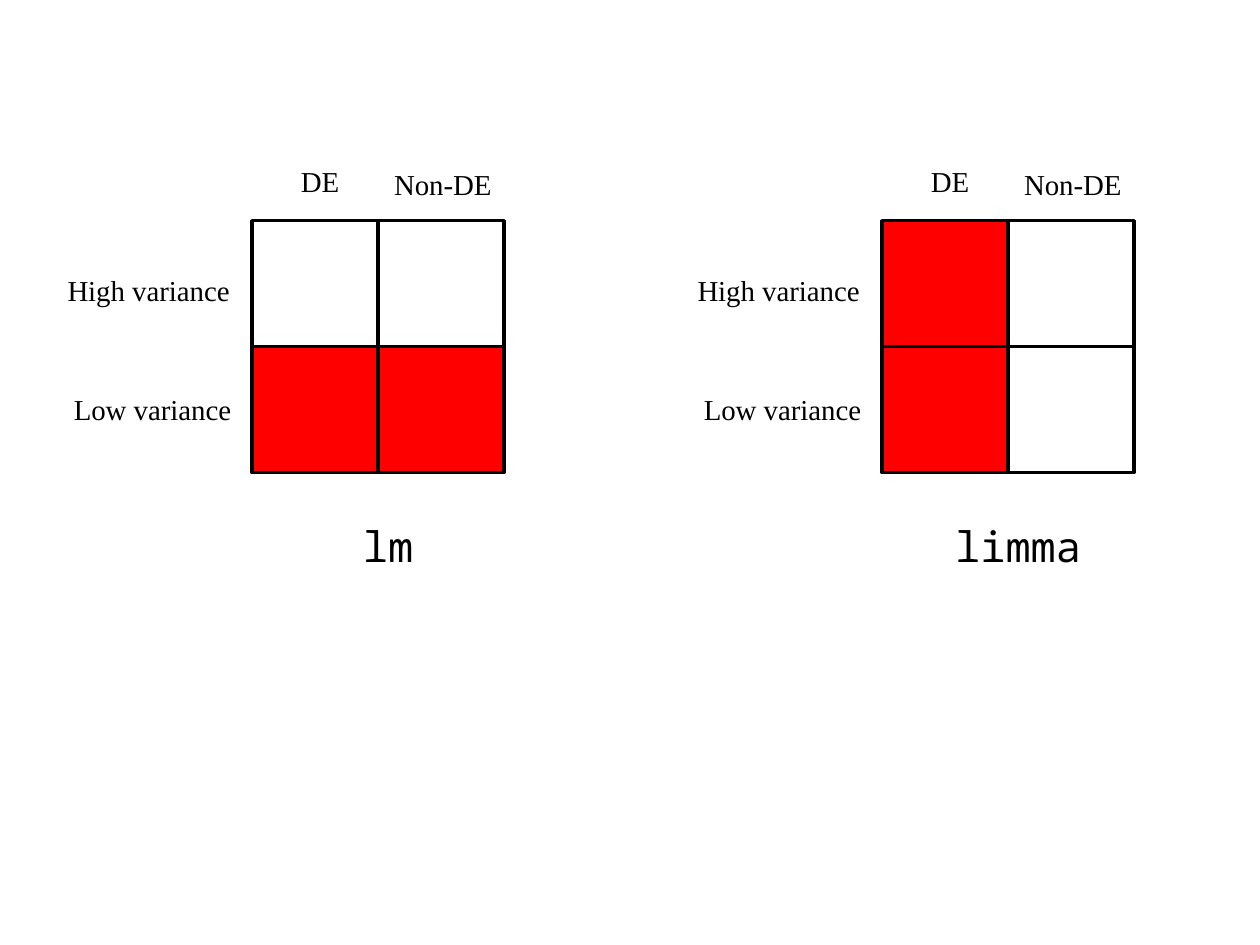
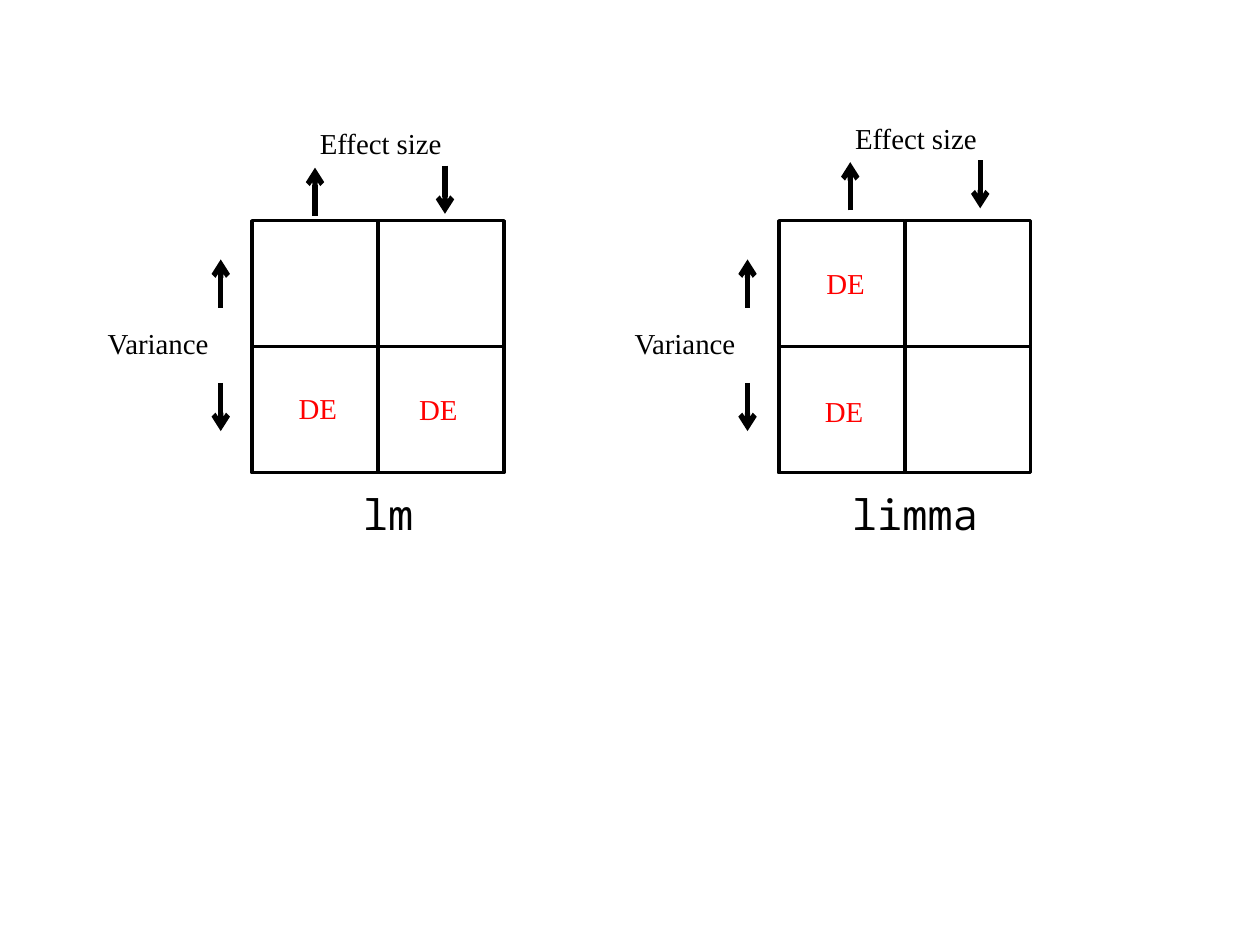
from lxml.etree import SubElement
from pptx import Presentation
from pptx.dml.color import RGBColor
from pptx.enum.shapes import MSO_CONNECTOR, MSO_SHAPE
from pptx.enum.text import MSO_AUTO_SIZE, PP_ALIGN as Align
from pptx.oxml.ns import qn
from pptx.util import Cm, Pt

rgb = RGBColor.from_string
BLACK, RED = "000000", "FF0000"
SERIF, MONO = "Times New Roman", "Noto Sans Mono"
CELL = 2.54
GRID_TOP = 4.45


def add_text(slide, text, left, top, width, height=0.97, size=16.5, font=SERIF,
             color=BLACK, align=Align.RIGHT):
    frame = slide.shapes.add_textbox(Cm(left), Cm(top), Cm(width), Cm(height)).text_frame
    frame.word_wrap = True
    frame.auto_size = MSO_AUTO_SIZE.SHAPE_TO_FIT_TEXT
    paragraph = frame.paragraphs[0]
    paragraph.alignment = align
    run = paragraph.add_run()
    run.text = text
    run.font.name = font
    run.font.size = Pt(size)
    run.font.color.rgb = rgb(color)


def add_vertical_arrow(slide, x, start, end):
    arrow = slide.shapes.add_connector(MSO_CONNECTOR.STRAIGHT, Cm(x), Cm(start), Cm(x), Cm(end))
    arrow.line.width = Pt(3)
    arrow.line.color.rgb = rgb(BLACK)
    SubElement(arrow.line._get_or_add_ln(), qn("a:tailEnd"), type="arrow")
    SubElement(arrow._element.spPr, qn("a:effectLst"))


prs = Presentation()
prs.slide_width, prs.slide_height = Cm(25.4), Cm(19.05)
blank = prs.slide_layouts[6]
filled_slide = prs.slides.add_slide(blank)
arrow_slide = prs.slides.add_slide(blank)

# Slide, method, grid left, top of method name, red cells as (row, column)
grids = [
    (filled_slide, "lm", 5.08, 10.36, [(1, 0), (1, 1)]),
    (filled_slide, "limma", 17.78, 10.36, [(0, 0), (1, 0)]),
    (arrow_slide, "lm", 5.08, 9.73, []),
    (arrow_slide, "limma", 15.7, 9.73, []),
]
for slide, method, grid_left, method_top, red_cells in grids:
    for row in range(2):
        for column in range(2):
            cell = slide.shapes.add_shape(
                MSO_SHAPE.RECTANGLE, Cm(grid_left + column * CELL),
                Cm(GRID_TOP + row * CELL), Cm(CELL), Cm(CELL))
            cell.shadow.inherit = False
            cell.line.color.rgb = rgb(BLACK)
            cell.line.width = Pt(2)
            if (row, column) in red_cells:
                cell.fill.solid()
                cell.fill.fore_color.rgb = rgb(RED)
            else:
                cell.fill.background()
    add_text(slide, method, grid_left + 0.42, method_top, 4.65, height=1.27,
             size=24, font=MONO, align=Align.CENTER)

# First slide: row and column names, placed from the grid's left edge
axis_labels = [
    ("High variance", -4.65, 5.38, 4.45),
    ("Low variance", -4.62, 7.77, 4.45),
    ("Non-DE", 2.34, 3.23, 2.74),
    ("DE", 0.64, 3.18, 1.37),
]
for grid_left in (5.08, 17.78):
    for label, offset, top, width in axis_labels:
        add_text(filled_slide, label, grid_left + offset, top, width)

# Second slide: grid left, effect label left and top, DE marks as (left, top)
directions = [
    (5.08, 6.15, 2.41, [(5.72, 7.75), (8.15, 7.77)]),
    (15.7, 16.94, 2.3, [(16.36, 5.23), (16.33, 7.82)]),
]
for grid_left, effect_left, effect_top, de_marks in directions:
    for left, top in de_marks:
        add_text(arrow_slide, "DE", left, top, 1.37, color=RED, align=Align.CENTER)

    add_text(arrow_slide, "Variance", grid_left - 3.63, 6.45, 3)
    variance_x = grid_left - 0.63
    add_vertical_arrow(arrow_slide, variance_x, 6.2, 5.23)
    add_vertical_arrow(arrow_slide, variance_x, 7.72, 8.69)

    add_text(arrow_slide, "Effect size", effect_left, effect_top, 3)
    add_vertical_arrow(arrow_slide, effect_left + 0.2, effect_top + 1.94, effect_top + 0.97)
    add_vertical_arrow(arrow_slide, effect_left + 2.82, effect_top + 0.93, effect_top + 1.9)

prs.save("out.pptx")
